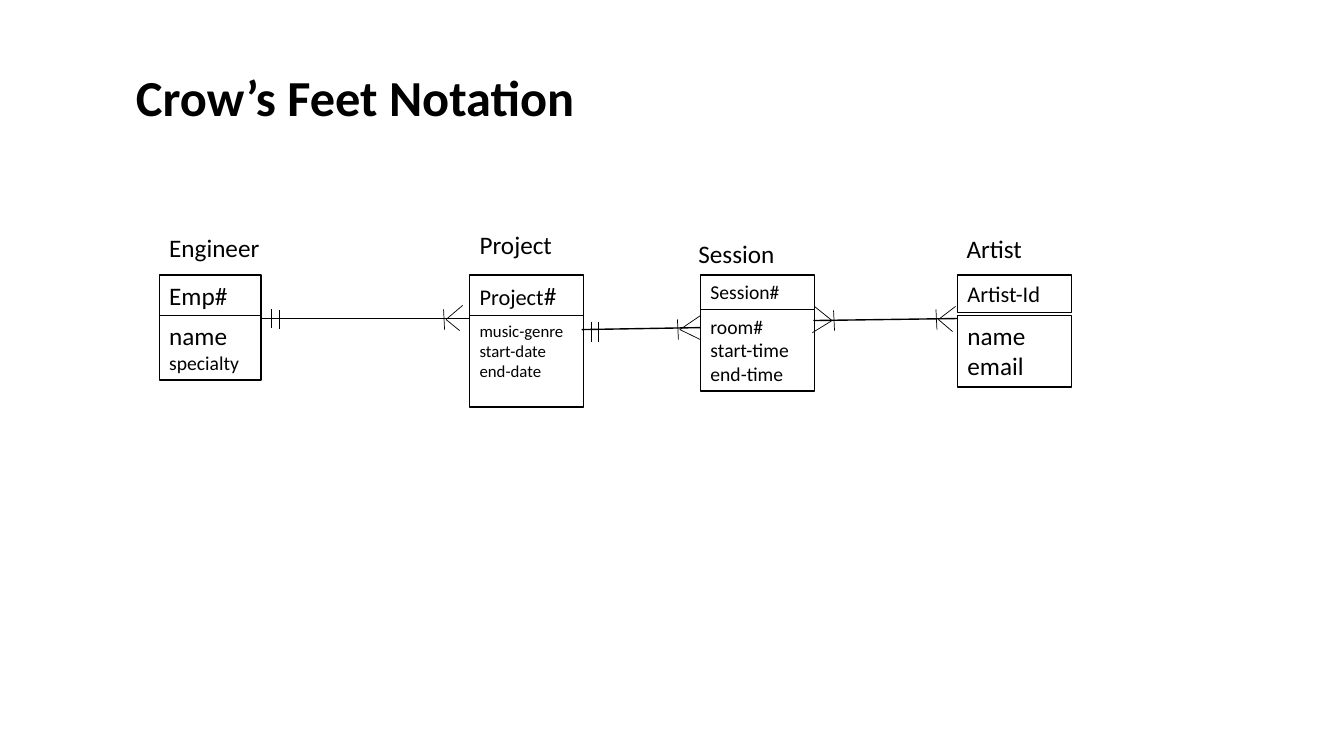
"""Build a slide with an entity diagram in crow's feet notation."""
from lxml.etree import SubElement
from pptx import Presentation
from pptx.dml.color import RGBColor
from pptx.enum.shapes import MSO_CONNECTOR as Link, MSO_SHAPE as Preset
from pptx.enum.text import MSO_ANCHOR as Anchor, PP_ALIGN as Align
from pptx.oxml.ns import qn
from pptx.util import Pt

BLACK = RGBColor(0, 0, 0)
FONT = "Calibri"
KEY_TOP = 196.56
BAR_HEIGHT = 14.4
BAR_TILT = 0.72
BAR_GAP = 1.4

ENTITIES = [
    dict(name="Engineer", name_at=(113.76, 162.72), left=113.76, width=72.72,
         key=[[("Emp#", 18)]], key_height=28.8,
         fields=[[("name", 18)], [("specialty", 14)]],
         fields_top=225.36, fields_height=46.08),
    dict(name="Project", name_at=(335.52, 160.56), left=335.52, width=81.36,
         key=[[("Project", 16), ("#", 18)]], key_height=28.8,
         fields=[[("music-genre", 12)], [("start-date", 12)], [("end-date", 12)]],
         fields_top=225.36, fields_height=65.52),
    dict(name="Session", name_at=(491.76, 167.04), left=500.4, width=81.36,
         key=[[("Session#", 14)]], key_height=24.48,
         fields=[[("room#", 14)], [("start-time", 14)], [("end-time", 14)]],
         fields_top=221.04, fields_height=58.32),
    dict(name="Artist", name_at=(683.28, 163.44), left=684, width=81.36,
         key=[[("Artist-Id", 16)]], key_height=26.64,
         fields=[[("name", 18)], [("email", 18)]],
         fields_top=225.36, fields_height=51.12),
]

RELATIONS = [
    ((186.48, 227.52), (334.8, 227.52)),
    ((415.44, 235.44), (500.4, 234)),
    ((581.04, 228.96), (684, 227.52)),
]

ONE_MARKS = [
    (193.68, 221.04, 13),
    (199.44, 221.76, 13),
    (422.64, 229.68, BAR_HEIGHT),
    (427.68, 229.68, BAR_HEIGHT),
]

CROW_FEET = [
    ((318.6, 228.24), (330.48, 218.16), (328.32, 236.16)),
    ((485.64, 235.44), (500.4, 225.36), (500.4, 242.64)),
    ((670.32, 228.24), (682.56, 218.88), (680.4, 236.88)),
    ((594.36, 229), (581.76, 218.88), (580.32, 237.6)),
]


def write(shape, lines, bold=False, spacing=None):
    """Fill a shape with lines, each a list of (text, size) runs."""
    frame = shape.text_frame
    frame.word_wrap = True
    frame.vertical_anchor = Anchor.TOP
    for index, line in enumerate(lines):
        paragraph = frame.add_paragraph() if index else frame.paragraphs[0]
        paragraph.alignment = Align.LEFT
        paragraph.line_spacing = spacing
        for text, size in line:
            run = paragraph.add_run()
            run.text = text
            run.font.name = FONT
            run.font.size = Pt(size)
            run.font.bold = bold
            run.font.color.rgb = BLACK


def add_label(slide, left, top, width, height, text, size, **style):
    """Add a one-line label."""
    label = slide.shapes.add_textbox(Pt(left), Pt(top), Pt(width), Pt(height))
    write(label, [[(text, size)]], **style)


def add_compartment(slide, left, top, width, height, lines):
    """Add one outlined part of an entity."""
    box = slide.shapes.add_shape(
        Preset.RECTANGLE, Pt(left), Pt(top), Pt(width), Pt(height))
    box.shadow.inherit = False
    box.fill.background()
    box.line.color.rgb = BLACK
    box.line.width = Pt(1)
    write(box, lines)


def add_entity(slide, entity):
    """Add an entity's name, key and fields."""
    left, width = entity["left"], entity["width"]
    add_compartment(slide, left, KEY_TOP, width, entity["key_height"], entity["key"])
    add_compartment(slide, left, entity["fields_top"], width,
                    entity["fields_height"], entity["fields"])
    add_label(slide, *entity["name_at"], 90, 28.8, entity["name"], 18)


def add_line(slide, start, end, weight=0.5):
    """Add a straight black line between two points."""
    line = slide.shapes.add_connector(
        Link.STRAIGHT, *(Pt(value) for value in (*start, *end)))
    line.line.color.rgb = BLACK
    line.line.width = Pt(weight)
    SubElement(line._element.spPr, qn("a:effectLst"))


def add_crow_foot(slide, apex, upper_toe, lower_toe):
    """Add a one-or-many mark: two toes and a bar behind the apex."""
    for toe in (upper_toe, lower_toe):
        add_line(slide, apex, toe)
    x, y = apex
    bar_x = x - BAR_GAP if upper_toe[0] > x else x + BAR_GAP
    add_line(slide, (bar_x - BAR_TILT / 2, y - BAR_HEIGHT / 2),
             (bar_x + BAR_TILT / 2, y + BAR_HEIGHT / 2))


def main():
    """Compose and save the slide."""
    deck = Presentation()
    deck.slide_width, deck.slide_height = Pt(960), Pt(540)
    slide = deck.slides.add_slide(deck.slide_layouts[6])
    add_label(slide, 90, 48.24, 777.6, 58.32, "Crow’s Feet Notation", 36,
              bold=True, spacing=0.9)
    for entity in ENTITIES:
        add_entity(slide, entity)
    for start, end in RELATIONS:
        add_line(slide, start, end, weight=1)
    for x, top, height in ONE_MARKS:
        add_line(slide, (x, top), (x, top + height))
    for foot in CROW_FEET:
        add_crow_foot(slide, *foot)
    deck.save("out.pptx")


if __name__ == "__main__":
    main()
